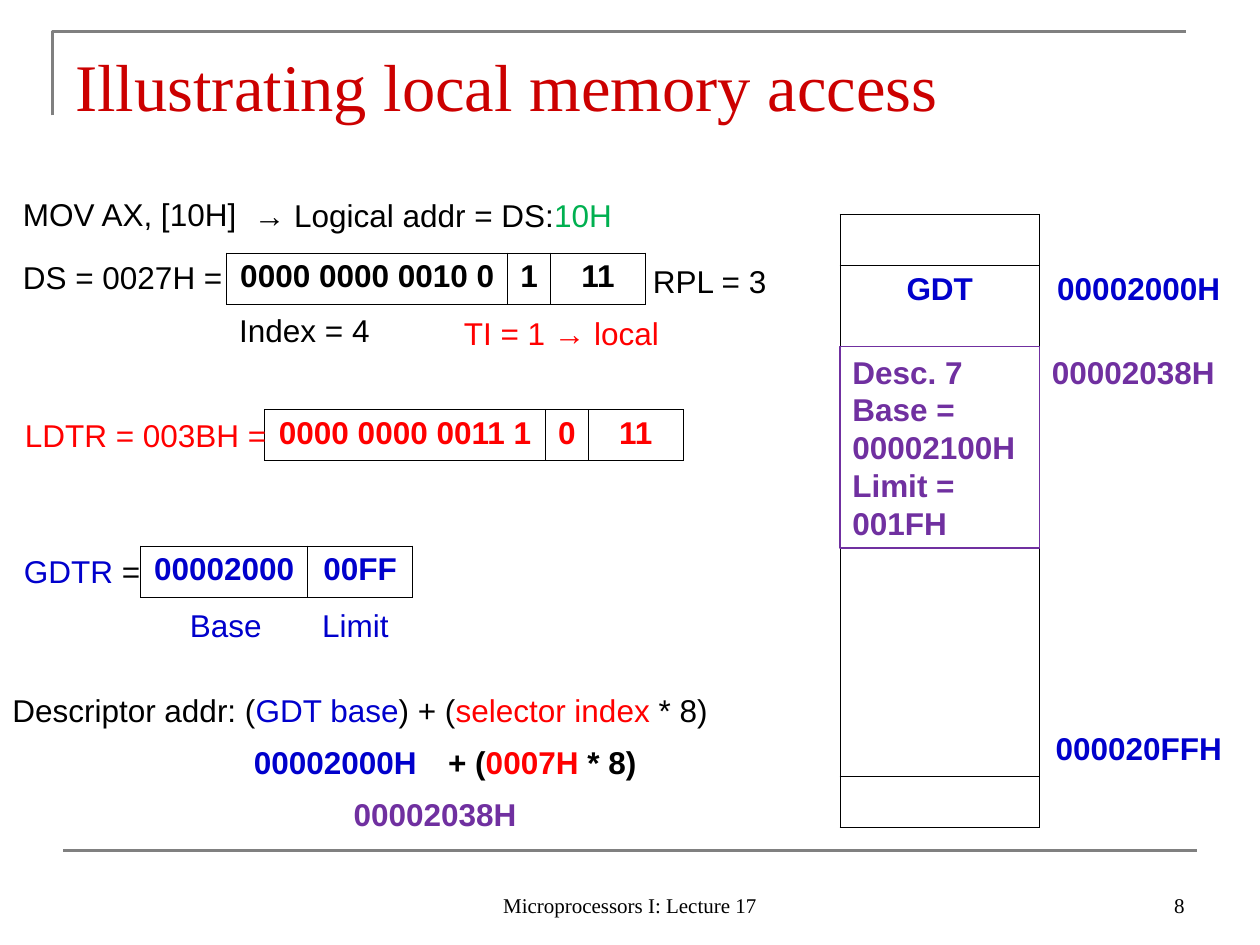
import pptx
import pptx.util
import pptx.dml.color
import pptx.enum.shapes
import pptx.enum.text
import pptx.oxml
import pptx.oxml.ns

COLORS = {"black": "000000", "gray": "808080", "title": "CC0000", "red": "FF0000",
          "blue": "0000CC", "green": "00B050", "purple": "7030A0"}
ALIGN = pptx.enum.text.PP_ALIGN
ANCHOR = pptx.enum.text.MSO_ANCHOR
NS = pptx.oxml.ns.nsdecls("a")

deck = pptx.Presentation()
deck.slide_width = pptx.util.Inches(10)
deck.slide_height = pptx.util.Inches(7.5)
page = deck.slides.add_slide(deck.slide_layouts[6])
UNIT = deck.slide_width / 120  # grid of 120 columns by 90 rows


def grid(*values):
    return [round(value * UNIT) for value in values]


def write(para, runs, bold=False, align=ALIGN.LEFT, size=18, face="Arial"):
    para.alignment = align
    para.font.name = face
    para.font.size = pptx.util.Pt(size)
    para.font.bold = bold
    for text, color in runs:
        span = para.add_run()
        span.text = text
        owner = para if len(runs) == 1 else span
        owner.font.color.rgb = pptx.dml.color.RGBColor.from_string(COLORS[color])


# Frame lines
corner = page.shapes.build_freeform(*grid(5, 11), scale=1.0)
corner.add_line_segments([grid(5, 3), grid(113, 3)], close=False)
bracket = corner.convert_to_shape()
bracket.shadow.inherit = False
bracket.fill.background()
rule = page.shapes.add_connector(pptx.enum.shapes.MSO_CONNECTOR.STRAIGHT, *grid(6, 81, 114, 81))
rule._element.spPr.append(pptx.oxml.parse_xml(f"<a:effectLst {NS}/>"))
for outline in (bracket, rule):
    outline.line.color.rgb = pptx.dml.color.RGBColor.from_string(COLORS["gray"])
    outline.line.width = pptx.util.Pt(1.5)

# Title, footer and page number
for place, text, color, size, align, anchor in [
    ((6, 3.4, 108, 9.4), "Illustrating local memory access", "title", 38, ALIGN.LEFT, ANCHOR.MIDDLE),
    ((41, 82, 38, 6), "Microprocessors I: Lecture 17", "black", 12, ALIGN.CENTER, ANCHOR.BOTTOM),
    ((86, 82, 28, 6), "8", "black", 12, ALIGN.RIGHT, ANCHOR.BOTTOM),
]:
    box = page.shapes.add_textbox(*grid(*place))
    box.text_frame.word_wrap = True
    box.text_frame.vertical_anchor = anchor
    write(box.text_frame.paragraphs[0], [(text, color)], align=align, size=size, face="Times New Roman")

# Tables: place, column widths, and rows of (text, colour, border sides)
ROW = 4.87
ALL = "LRTB"
memory = [[("", "black", "LR"), ("", "black", "L")] for _ in range(12)]
memory[0][0] = memory[11][0] = ("", "black", ALL)
memory[1] = [("GDT", "blue", "LRT"), ("00002000H", "blue", "L")]
memory[10] = [("", "black", "LRB"), ("000020FFH", "blue", "L")]
selector = (26.75, 4.1, 9)
tables = [
    (21.6, 24.1, selector, [[(t, "black", ALL) for t in ("0000 0000 0010 0", "1", "11")]]),
    (25.2, 39, selector, [[(t, "red", ALL) for t in ("0000 0000 0011 1", "0", "11")]]),
    (13.4, 52, (15.9, 10), [[(t, "blue", ALL) for t in ("00002000", "00FF")]]),
    (80, 20.4, (19, 18.9), memory),
]
for left, top, widths, rows in tables:
    table = page.shapes.add_table(
        len(rows), len(widths), *grid(left, top, sum(widths), ROW * len(rows))).table
    table.first_row = table.horz_banding = False
    for column, width in zip(table.columns, grid(*widths)):
        column.width = width
    for r, row in enumerate(rows):
        for c, (text, color, sides) in enumerate(row):
            cell = table.cell(r, c)
            cell.fill.background()
            for index, side in enumerate(ALL):
                paint = (f'<a:solidFill><a:srgbClr val="{COLORS["black"]}"/></a:solidFill>'
                         if side in sides else "<a:noFill/>")
                cell._tc.tcPr.insert(index, pptx.oxml.parse_xml(
                    f'<a:ln{side} {NS} w="{pptx.util.Pt(0.45)}">{paint}</a:ln{side}>'))
            write(cell.text_frame.paragraphs[0], [(text, color)] if text else [], True, ALIGN.CENTER)

# Labels: left, top, width, runs, bold
labels = [
    (1, 18, 24, [("MOV AX, [10H]", "black")], False),
    (23, 18.1, 37, [("→ Logical addr = DS:", "black"), ("10H", "green")], False),
    (1, 24, 22, [("DS = 0027H =", "black")], False),
    (61, 24.4, 16, [("RPL = 3", "black")], False),
    (43, 29.3, 27, [("TI = 1 → local", "red")], False),
    (21.6, 29, 16, [("Index = 4", "black")], False),
    (1.2, 39, 25.5, [("LDTR = 003BH =", "red")], False),
    (1.1, 52, 14.5, [("GDTR ", "blue"), ("=", "black")], False),
    (16.9, 57.1, 10, [("Base", "blue")], False),
    (29.5, 57.1, 10, [("Limit", "blue")], False),
    (0, 65.2, 72, [("Descriptor addr: (", "black"), ("GDT base", "blue"), (") + (", "black"),
                   ("selector index ", "red"), ("* 8)", "black")], False),
    (23, 70.2, 18.5, [("00002000H", "blue")], True),
    (41.5, 70.2, 24.5, [("+ (", "black"), ("0007H", "red"), (" * 8)", "black")], True),
    (32.5, 75.1, 18.5, [("00002038H", "purple")], True),
    (99, 33, 18.5, [("00002038H", "purple")], True),
]
for left, top, width, runs, bold in labels:
    box = page.shapes.add_textbox(*grid(left, top, width, 4.8))
    box.text_frame.word_wrap = True
    write(box.text_frame.paragraphs[0], runs, bold)

# Descriptor inside the memory column
descriptor = page.shapes.add_shape(pptx.enum.shapes.MSO_SHAPE.RECTANGLE, *grid(80, 33, 19, 19.2))
descriptor.shadow.inherit = False
descriptor.fill.background()
descriptor.line.color.rgb = pptx.dml.color.RGBColor.from_string(COLORS["purple"])
descriptor.line.width = pptx.util.Pt(0.75)
frame = descriptor.text_frame
frame.word_wrap = True
frame.vertical_anchor = ANCHOR.TOP
for index, text in enumerate(["Desc. 7", "Base = 00002100H", "Limit =", "001FH"]):
    para = frame.add_paragraph() if index else frame.paragraphs[0]
    write(para, [(text, "purple")], bold=True)

deck.save("out.pptx")
